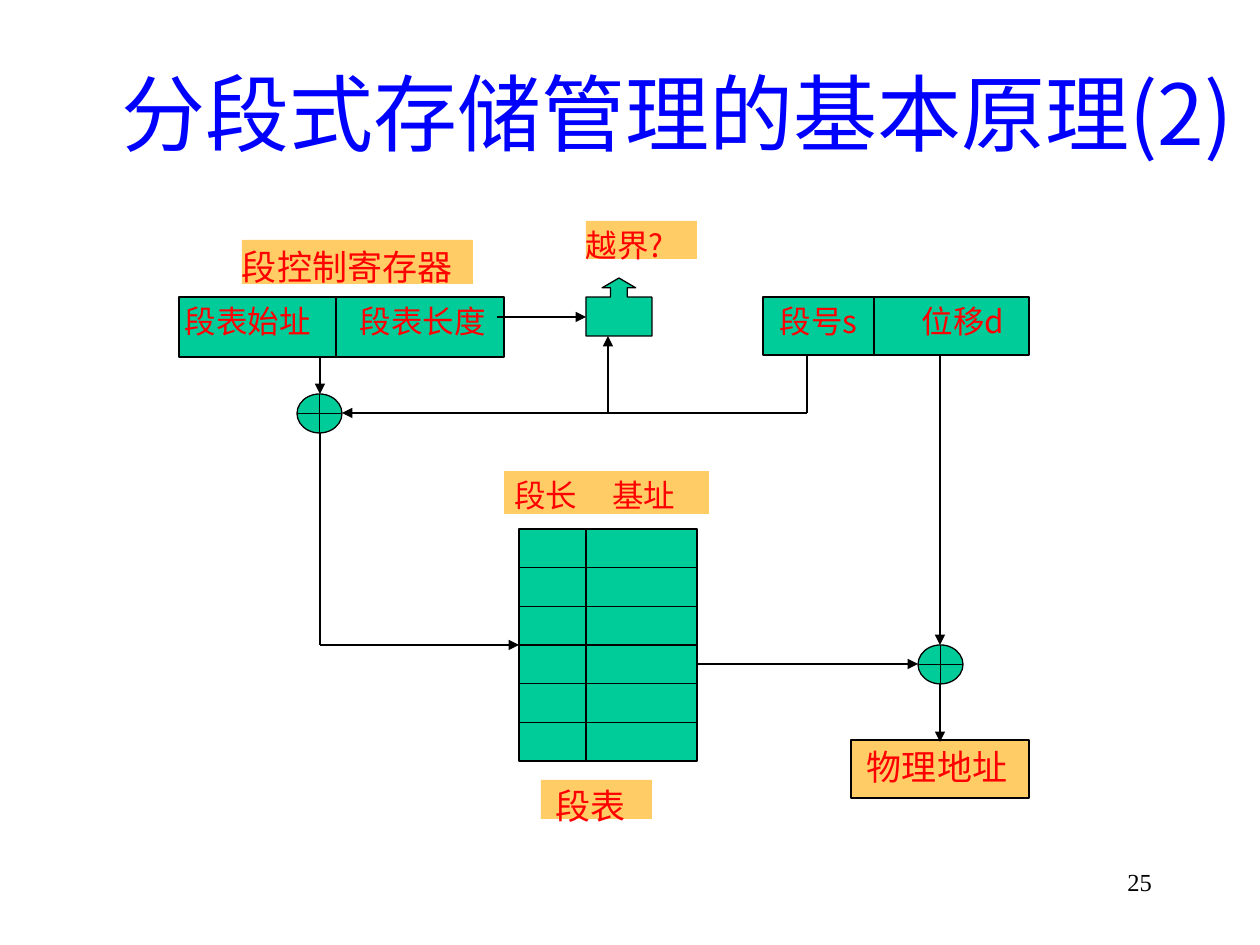
"""Build the slide on address translation in segmented storage."""
from lxml.etree import SubElement
from pptx import Presentation
from pptx.dml.color import RGBColor
from pptx.enum.shapes import MSO_CONNECTOR, MSO_SHAPE
from pptx.enum.text import MSO_ANCHOR, MSO_AUTO_SIZE, PP_ALIGN
from pptx.oxml.ns import qn
from pptx.util import Pt

SANS, SERIF = "Noto Sans CJK JP", "Times New Roman"
GREEN, GOLD, RED, BLUE, BLACK = "00CC99", "FFCC66", "FF0000", "0000FF", "000000"
TITLE = "分段式存储管理的基本原理(2)"
PAGE = "25"

# text, box, fill, outlined, size, indent, tab
BOXES = [
    ("段控制寄存器", (242, 240, 231, 44), GOLD, False, 20, 0, 0),
    ("段表始址\t段表长度", (179, 297, 325, 60), GREEN, True, 18, 6, 175),
    ("段号s\t位移d", (763, 297, 266, 58), GREEN, True, 18, 17, 142),
    ("段长\t基址", (504, 471, 205, 43), GOLD, False, 18, 10, 98),
    ("物理地址", (851, 740, 178, 58), GOLD, True, 20, 16, 0),
    ("越界?", (586, 221, 111, 38), GOLD, False, 18, 0, 0),
    ("段表", (541, 780, 111, 39), GOLD, False, 20, 15, 0),
]
ADDERS = [(297, 394), (918, 645)]
ADDER = (45, 39)
CHECK = (586, 278, 66, 58)
CHECK_ADJ = (0.29, 0.29, 0.17, 0.67)
TABLE = (519, 529, 178, 232)
ROWS, SPLIT = 6, 586
LINES = [
    (336, 297, 336, 356),
    (874, 297, 874, 355),
    (807, 355, 807, 413),
    (320, 433, 320, 645),
]
ARROWS = [
    (320, 356, 320, 394),
    (807, 413, 342, 413),
    (320, 645, 519, 645),
    (697, 664, 918, 664),
    (940, 355, 940, 645),
    (940, 684, 940, 742),
    (608, 413, 608, 336),
    (497, 317, 586, 317),
]


def px(*vals):
    return [round(v * 914400 / 126) for v in vals]


def tint(code):
    return RGBColor.from_string(code)


def write(shape, text, size, color, face, align, pads, anchor, tab=0):
    frame = shape.text_frame
    frame.word_wrap = True
    frame.auto_size = MSO_AUTO_SIZE.NONE
    frame.vertical_anchor = anchor
    (frame.margin_left, frame.margin_top,
     frame.margin_right, frame.margin_bottom) = px(*pads)
    para = frame.paragraphs[0]
    para.add_run().text = text
    para.alignment = align
    props = para._p.get_or_add_pPr()
    if tab:
        stops = SubElement(props, qn("a:tabLst"))
        SubElement(stops, qn("a:tab"), pos=str(px(tab)[0]), algn="l")
    font = para.font
    font.size, font.name = Pt(size), face
    font.color.rgb = tint(color)
    SubElement(props.find(qn("a:defRPr")), qn("a:ea"), typeface=face)


def draw(slide, kind, box, fill, edged=True):
    shape = slide.shapes.add_shape(kind, *px(*box))
    shape.shadow.inherit = False
    shape.fill.solid()
    shape.fill.fore_color.rgb = tint(fill)
    if edged:
        shape.line.color.rgb = tint(BLACK)
        shape.line.width = Pt(0.75)
    else:
        shape.line.fill.background()
    return shape


def link(slide, ends, arrow=False):
    wire = slide.shapes.add_connector(MSO_CONNECTOR.STRAIGHT, *px(*ends))
    wire.line.color.rgb = tint(BLACK)
    wire.line.width = Pt(0.75)
    if arrow:
        SubElement(wire.line._get_or_add_ln(), qn("a:tailEnd"), type="triangle")
    SubElement(wire._element.spPr, qn("a:effectLst"))


def main():
    deck = Presentation()
    deck.slide_width, deck.slide_height = px(1260, 945)
    slide = deck.slides.add_slide(deck.slide_layouts[5])

    title = slide.shapes.title
    title.left, title.top, title.width, title.height = px(94, 84, 1166, 158)
    write(title, TITLE, 48, BLUE, SANS, PP_ALIGN.CENTER,
          (13, 6, 13, 108), MSO_ANCHOR.MIDDLE)

    for text, box, fill, edged, size, indent, tab in BOXES:
        shape = draw(slide, MSO_SHAPE.RECTANGLE, box, fill, edged)
        write(shape, text, size, RED, SANS, PP_ALIGN.JUSTIFY,
              (indent, 5, 0, 0), MSO_ANCHOR.TOP, tab)

    for spot in ADDERS:
        draw(slide, MSO_SHAPE.FLOWCHART_OR, spot + ADDER, GREEN)
    check = draw(slide, MSO_SHAPE.UP_ARROW_CALLOUT, CHECK, GREEN)
    for i, value in enumerate(CHECK_ADJ):
        check.adjustments[i] = value

    draw(slide, MSO_SHAPE.RECTANGLE, TABLE, GREEN)
    left, top, width, height = TABLE
    for row in range(1, ROWS):
        y = top + height * row / ROWS
        link(slide, (left, y, left + width, y))
    link(slide, (SPLIT, top, SPLIT, top + height))

    for ends in LINES:
        link(slide, ends)
    for ends in ARROWS:
        link(slide, ends, True)

    page = slide.shapes.add_textbox(*px(903, 861, 262, 63))
    write(page, PAGE, 14, BLACK, SERIF, PP_ALIGN.RIGHT,
          (13, 6, 13, 6), MSO_ANCHOR.TOP)
    deck.save("out.pptx")


if __name__ == "__main__":
    main()
